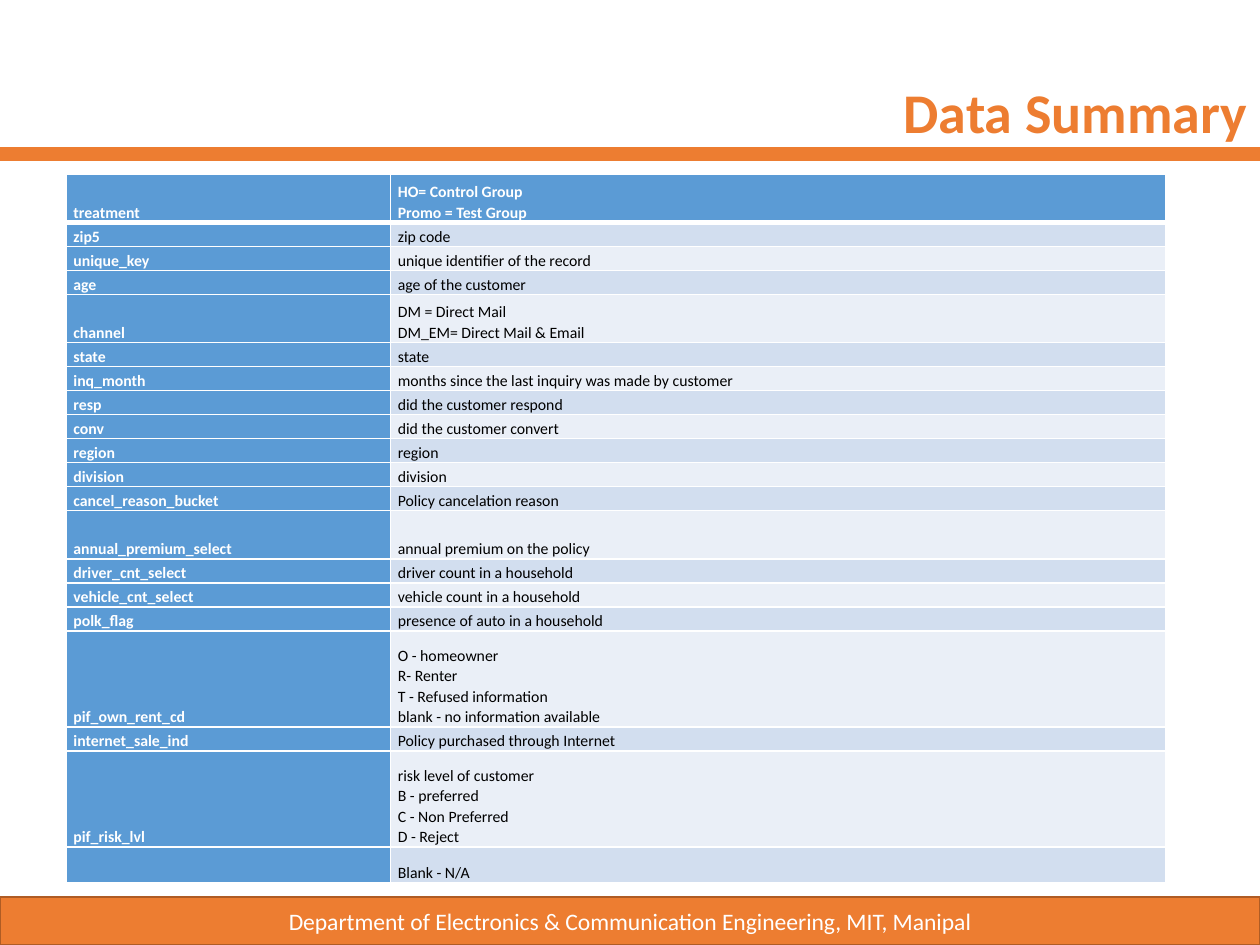
"""Build the Data Summary slide with its table of field descriptions."""
from copy import deepcopy

from lxml import etree
from pptx import Presentation
from pptx import util as u
from pptx.dml.color import RGBColor
from pptx.enum import shapes, text
from pptx.oxml import ns

COLORS = {"orange": "ED7D31", "rust": "AF5C24", "blue": "5B9BD5",
          "band_dark": "D2DEEF", "band_light": "EAEFF7",
          "white": "FFFFFF", "black": "000000"}
TITLE = "Data Summary"
FOOTER = "Department of Electronics & Communication Engineering, MIT, Manipal"
FIELDS = [
    ("treatment", "HO= Control Group\nPromo = Test Group", 2),
    ("zip5", "zip code", 1),
    ("unique_key", "unique identifier of the record", 1),
    ("age", "age of the customer", 1),
    ("channel", "DM = Direct Mail\nDM_EM= Direct Mail & Email", 2),
    ("state", "state", 1),
    ("inq_month", "months since the last inquiry was made by customer", 1),
    ("resp", "did the customer respond", 1),
    ("conv", "did the customer convert", 1),
    ("region", "region", 1),
    ("division", "division", 1),
    ("cancel_reason_bucket", "Policy cancelation reason", 1),
    ("annual_premium_select", "annual premium on the policy", 2),
    ("driver_cnt_select", "driver count in a household", 1),
    ("vehicle_cnt_select", "vehicle count in a household", 1),
    ("polk_flag", "presence of auto in a household", 1),
    ("pif_own_rent_cd", "O - homeowner\nR- Renter\nT - Refused information\n"
     "blank - no information available", 4),
    ("internet_sale_ind", "Policy purchased through Internet", 1),
    ("pif_risk_lvl", "risk level of customer\nB - preferred\n"
     "C - Non Preferred\nD - Reject", 4),
    ("", "Blank - N/A", 1),
]
COL_WIDTHS = (6.54, 15.63)
TABLE_HEIGHT = 14.05
SLIDE_WIDTH, SLIDE_HEIGHT = 25.4, 19.05


def rgb(name):
    return RGBColor.from_string(COLORS[name])


def write(tf, content, size, color, bold=False, align=text.PP_ALIGN.LEFT,
          spacing=1.0, anchor=text.MSO_ANCHOR.MIDDLE):
    tf.word_wrap = True
    tf.vertical_anchor = anchor
    p = tf.paragraphs[0]
    p.alignment, p.line_spacing = align, spacing
    for i, line in enumerate(content.split("\n")):
        if i:
            p.add_line_break()
        r = p.add_run()
        r.text = line
        r.font.name, r.font.size, r.font.bold = "Calibri", u.Pt(size), bold
        r.font.color.rgb = rgb(color)
    for br in p._p.findall(ns.qn("a:br")):
        br.append(deepcopy(p._p.find(ns.qn("a:r")).find(ns.qn("a:rPr"))))


def set_borders(cell, top, bottom):
    tc_pr = cell._tc.get_or_add_tcPr()
    for side, width in zip("LRTB", (1, 1, top, bottom)):
        ln = etree.SubElement(tc_pr, ns.qn(f"a:ln{side}"), w=str(u.Pt(width)))
        fill = etree.SubElement(ln, ns.qn("a:solidFill"))
        etree.SubElement(fill, ns.qn("a:srgbClr"), val=COLORS["white"])


def add_rule(s):
    y = u.Cm(3.1)
    cx = s.shapes.add_connector(shapes.MSO_CONNECTOR.STRAIGHT,
                                0, y, u.Cm(SLIDE_WIDTH), y)
    cx.line.color.rgb, cx.line.width = rgb("orange"), u.Pt(8)
    etree.SubElement(cx._element.spPr, ns.qn("a:effectLst"))


def add_footer(s):
    top = 18.08
    sp = s.shapes.add_shape(shapes.MSO_SHAPE.RECTANGLE, 0, u.Cm(top),
                            u.Cm(SLIDE_WIDTH), u.Cm(SLIDE_HEIGHT - top))
    sp.shadow.inherit = False
    sp.fill.solid()
    sp.fill.fore_color.rgb = rgb("orange")
    sp.line.color.rgb, sp.line.width = rgb("rust"), u.Pt(1)
    write(sp.text_frame, FOOTER, 13.5, "white", align=text.PP_ALIGN.CENTER)


def add_fields(s):
    unit = TABLE_HEIGHT / sum(units for *_, units in FIELDS)
    table = s.shapes.add_table(len(FIELDS), len(COL_WIDTHS), u.Cm(1.33), u.Cm(3.52),
                               u.Cm(sum(COL_WIDTHS)), u.Cm(TABLE_HEIGHT)).table
    table.first_col = True
    for col, width in zip(table.columns, COL_WIDTHS):
        col.width = u.Cm(width)
    for i, (*labels, units) in enumerate(FIELDS):
        table.rows[i].height = u.Cm(units * unit)
        for j, label in enumerate(labels):
            cell = table.cell(i, j)
            heading = i == 0 or j == 0
            cell.margin_left = cell.margin_right = u.Cm(0.15)
            cell.margin_top = cell.margin_bottom = 0
            set_borders(cell, 3 if i == 1 else 1, 3 if i == 0 else 1)
            cell.fill.solid()
            band = "band_dark" if i % 2 else "band_light"
            cell.fill.fore_color.rgb = rgb("blue" if heading else band)
            write(cell.text_frame, label, 9, "white" if heading else "black",
                  bold=heading, spacing=1.07)
            cell.vertical_anchor = text.MSO_ANCHOR.BOTTOM


def add_title(s):
    left = 11
    sp = s.shapes.add_textbox(u.Cm(left), u.Cm(1.6), u.Cm(SLIDE_WIDTH - left), u.Cm(1.45))
    write(sp.text_frame, TITLE, 32, "orange", bold=True, spacing=0.9,
          align=text.PP_ALIGN.RIGHT, anchor=text.MSO_ANCHOR.TOP)


def main():
    prs = Presentation()
    prs.slide_width, prs.slide_height = u.Cm(SLIDE_WIDTH), u.Cm(SLIDE_HEIGHT)
    s = prs.slides.add_slide(prs.slide_layouts[6])
    for add in (add_rule, add_footer, add_fields, add_title):
        add(s)
    prs.save("out.pptx")


if __name__ == "__main__":
    main()
